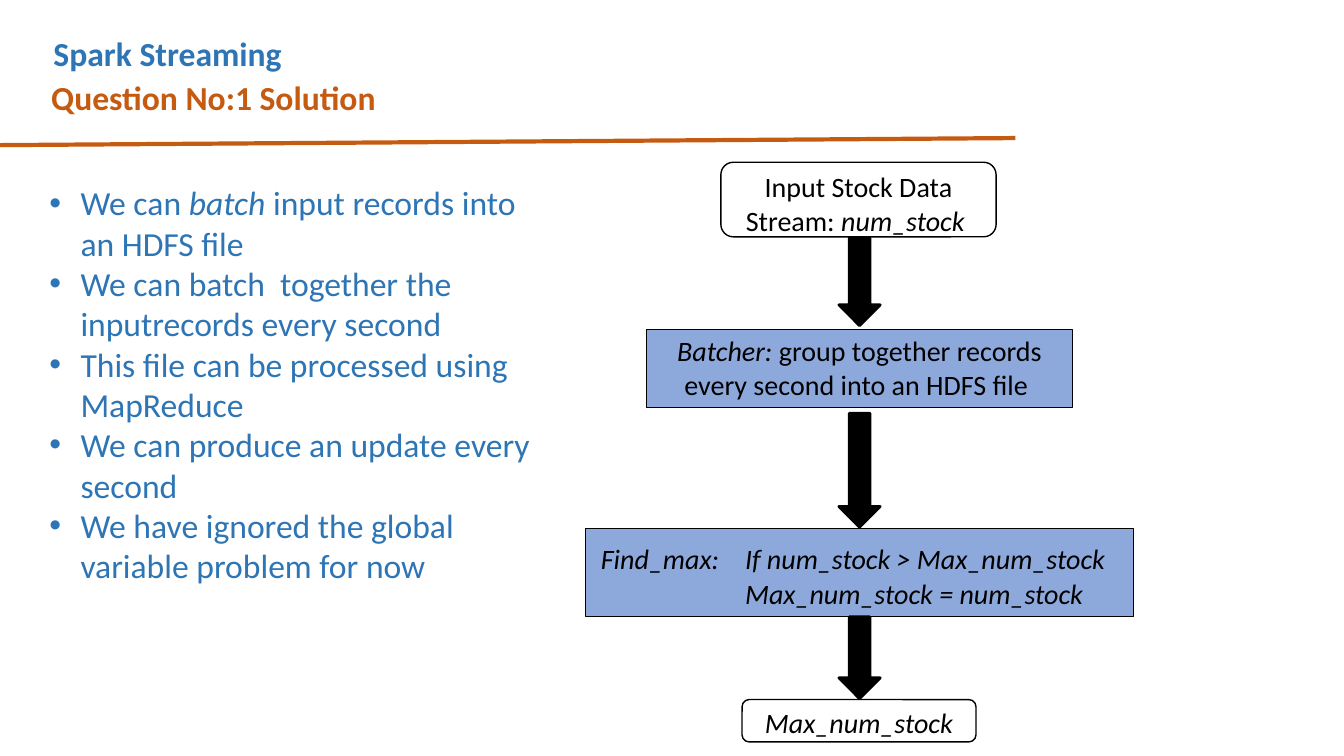
import pptx
import pptx.dml.color
import pptx.enum.shapes
import pptx.enum.text
import pptx.oxml
import pptx.oxml.ns
import pptx.util
from pptx.dml.color import RGBColor
from pptx.util import Inches

BLUE = RGBColor(0x2E, 0x75, 0xB5)
ORANGE = RGBColor(0xC5, 0x5A, 0x11)
PERIWINKLE = RGBColor(0x8D, 0xA9, 0xDB)
BLACK = RGBColor(0, 0, 0)
WHITE = RGBColor(0xFF, 0xFF, 0xFF)

SHAPE = pptx.enum.shapes.MSO_SHAPE
ALIGN = pptx.enum.text.PP_ALIGN


def write(para, spans, size, color, bold=False):
    """Add (text, italic) spans to a paragraph in one common format."""
    for text, italic in spans:
        span = para.add_run()
        span.text = text
        look = {"name": "Calibri", "size": pptx.util.Pt(size), "bold": bold, "italic": italic}
        for key, value in look.items():
            setattr(span.font, key, value)
        span.font.color.rgb = color


def add_solid(kind, place, fill, line_width):
    solid = slide.shapes.add_shape(kind, *map(Inches, place))
    solid.shadow.inherit = False
    solid.fill.solid()
    solid.fill.fore_color.rgb = fill
    solid.line.color.rgb = BLACK
    solid.line.width = pptx.util.Pt(line_width)
    return solid


deck = pptx.Presentation()
deck.slide_width, deck.slide_height = Inches(13.33), Inches(7.5)
slide = deck.slides.add_slide(deck.slide_layouts[5])

# Headings
title = slide.shapes.title
place = {"left": 0.43, "top": 0.28, "width": 8.2, "height": 0.5}
for side, length in place.items():
    setattr(title, side, Inches(length))
subtitle = slide.shapes.add_textbox(*map(Inches, (0.41, 0.71, 8.75, 0.5)))
headings = [(title, "Spark Streaming", BLUE), (subtitle, "Question No:1 Solution", ORANGE)]
for box, text, color in headings:
    box.text_frame.word_wrap = True
    box.text_frame.vertical_anchor = pptx.enum.text.MSO_ANCHOR.TOP
    para = box.text_frame.paragraphs[0]
    para.alignment = ALIGN.LEFT
    write(para, [(text, False)], 24, color, bold=True)

rule = slide.shapes.add_connector(
    pptx.enum.shapes.MSO_CONNECTOR.STRAIGHT, *map(Inches, (-0.01, 1.44, 10.07, 1.37)))
rule.line.color.rgb = ORANGE
rule.line.width = pptx.util.Pt(3)
rule._element.spPr.append(pptx.oxml.parse_xml(
    f"<a:effectLst {pptx.oxml.ns.nsdecls('a')}/>"))

# Bulleted points
points = [
    [("We can ", False), ("batch ", True), ("input records into an HDFS file", False)],
    [("We can batch  together the inputrecords every second", False)],
    [("This file can be processed using MapReduce", False)],
    [("We can produce an update every second", False)],
    [("We have ignored the global variable problem for now", False)],
]
bullet_xml = [
    f'<a:buClr {pptx.oxml.ns.nsdecls("a")}><a:srgbClr val="{BLUE}"/></a:buClr>',
    f'<a:buFont {pptx.oxml.ns.nsdecls("a")} typeface="Arial"/>',
    f'<a:buChar {pptx.oxml.ns.nsdecls("a")} char="•"/>',
]
frame = slide.shapes.add_textbox(*map(Inches, (0.39, 1.76, 5.18, 4.14))).text_frame
frame.word_wrap = True
for index, spans in enumerate(points):
    para = frame.add_paragraph() if index else frame.paragraphs[0]
    properties = para._p.get_or_add_pPr()
    properties.set("marL", str(Inches(0.31)))
    properties.set("indent", str(-Inches(0.31)))
    for xml in bullet_xml:
        properties.append(pptx.oxml.parse_xml(xml))
    write(para, spans, 24, BLUE)

# Flowchart boxes: kind, place, fill, line width, left and top inset, alignment, paragraphs
steps = [
    (SHAPE.ROUNDED_RECTANGLE, (7.15, 1.61, 2.73, 0.74), WHITE, 1, (0.07, 0.04), ALIGN.CENTER,
     [[("Input Stock Data Stream: ", False), ("num_stock ", True)]]),
    (SHAPE.RECTANGLE, (6.41, 3.27, 4.23, 0.77), PERIWINKLE, 0.75, (0.07, 0.04), ALIGN.CENTER,
     [[("Batcher: ", True), ("group together records every second into an HDFS file ", False)]]),
    (SHAPE.RECTANGLE, (5.81, 5.24, 5.43, 0.88), PERIWINKLE, 0.75, (0.15, 0.13), ALIGN.LEFT,
     [[("Find_max:\tIf num_stock > Max_num_stock", True)],
      [("\tMax_num_stock = num_stock", True)]]),
    (SHAPE.ROUNDED_RECTANGLE, (7.36, 6.94, 2.32, 0.42), WHITE, 1, (0.07, 0.04), ALIGN.CENTER,
     [[("Max_num_stock", True)]]),
]
for kind, place, fill, line_width, (left, top), alignment, paragraphs in steps:
    frame = add_solid(kind, place, fill, line_width).text_frame
    layout = {
        "word_wrap": True, "vertical_anchor": pptx.enum.text.MSO_ANCHOR.TOP,
        "margin_left": Inches(left), "margin_top": Inches(top),
        "margin_right": Inches(0.07), "margin_bottom": Inches(0.04),
    }
    for key, value in layout.items():
        setattr(frame, key, value)
    for index, spans in enumerate(paragraphs):
        para = frame.add_paragraph() if index else frame.paragraphs[0]
        para.alignment = alignment
        if index:
            para.space_before = pptx.util.Pt(1.3)
        if alignment == ALIGN.LEFT:
            para._p.get_or_add_pPr().append(pptx.oxml.parse_xml(
                f'<a:tabLst {pptx.oxml.ns.nsdecls("a")}>'
                f'<a:tab pos="{Inches(1.43)}" algn="l"/></a:tabLst>'))
        write(para, spans, 20, BLACK)

# Arrows between the boxes
for top, height in [(2.36, 0.87), (4.1, 1.13), (6.12, 0.81)]:
    add_solid(SHAPE.DOWN_ARROW, (8.32, top, 0.41, height), BLACK, 2)

deck.save("out.pptx")
